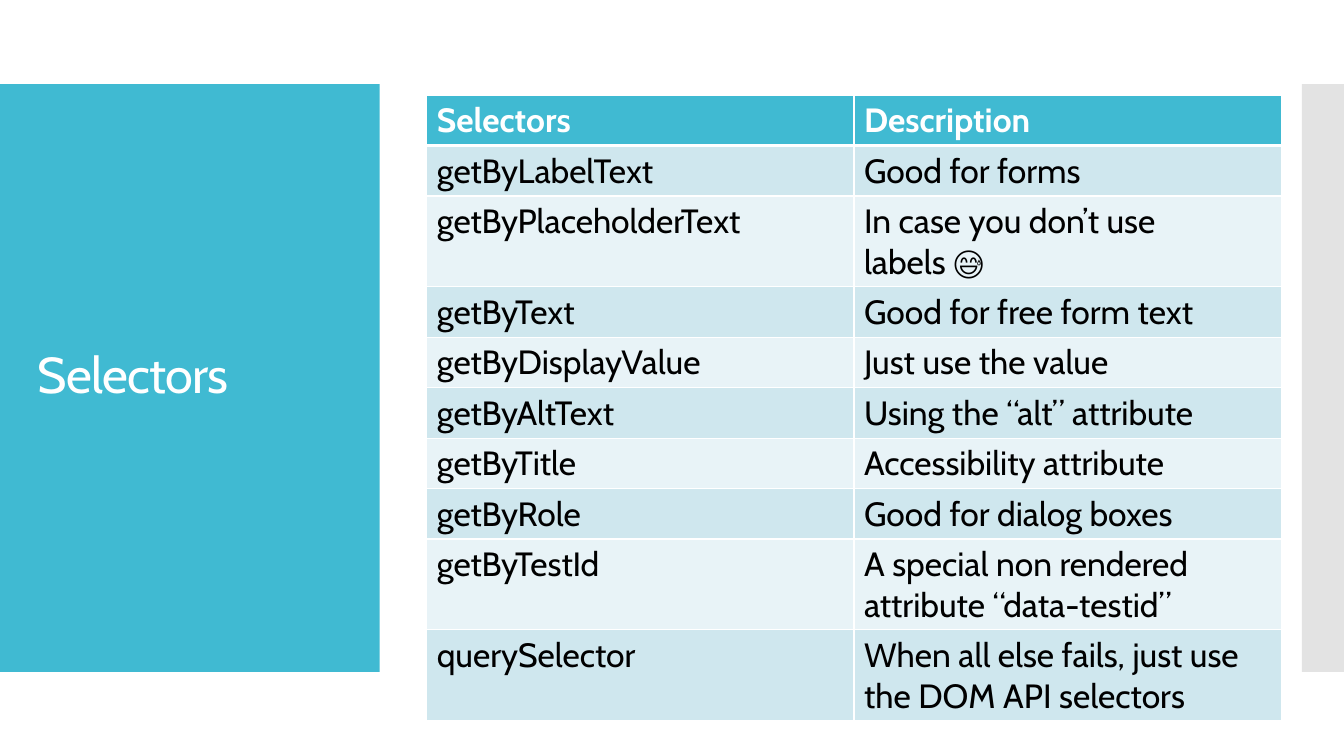
from dataclasses import dataclass

from lxml.etree import SubElement
from pptx import Presentation
from pptx.dml.color import RGBColor
from pptx.enum.shapes import MSO_SHAPE
from pptx.enum.text import MSO_ANCHOR
from pptx.oxml.ns import qn
from pptx.slide import Slide
from pptx.table import _Cell
from pptx.util import Pt

FONT = "Cabin"
COLORS = {
    "accent": "40BAD2",
    "side": "C8C8C8",
    "odd": "CFE7EE",
    "even": "E8F3F7",
    "white": "FFFFFF",
    "text": "000000",
}


@dataclass
class Panel:
    left: float
    width: float
    color: str
    opacity: int = 100


@dataclass
class Selector:
    name: str
    description: str


PANELS = [
    Panel(0, 271.2, "accent"),
    Panel(930, 30, "side", 50),
]
ROWS = [
    Selector("Selectors", "Description"),
    Selector("getByLabelText", "Good for forms"),
    Selector("getByPlaceholderText", "In case you don’t use labels 😅"),
    Selector("getByText", "Good for free form text"),
    Selector("getByDisplayValue", "Just use the value"),
    Selector("getByAltText", "Using the “alt” attribute"),
    Selector("getByTitle", "Accessibility attribute"),
    Selector("getByRole", "Good for dialog boxes"),
    Selector("getByTestId", "A special non rendered attribute “data-testid”"),
    Selector("querySelector", "When all else fails, just use the DOM API selectors"),
]


def rgb(name: str) -> RGBColor:
    return RGBColor.from_string(COLORS[name])


def add_panel(s: Slide, panel: Panel) -> None:
    sp = s.shapes.add_shape(
        MSO_SHAPE.RECTANGLE, Pt(panel.left), Pt(60), Pt(panel.width), Pt(420)
    )
    sp.shadow.inherit = False
    sp.line.fill.background()
    sp.fill.solid()
    sp.fill.fore_color.rgb = rgb(panel.color)
    if panel.opacity < 100:
        color = sp.fill._xPr.find(qn("a:solidFill"))[0]
        SubElement(color, qn("a:alpha"), val=str(panel.opacity * 1000))


def add_title(s: Slide, text: str) -> None:
    tf = s.shapes.add_textbox(Pt(20), Pt(88.5), Pt(232), Pt(362.5)).text_frame
    tf.word_wrap = True
    tf.vertical_anchor = MSO_ANCHOR.MIDDLE
    p = tf.paragraphs[0]
    p.line_spacing = 0.9
    r = p.add_run()
    r.text = text
    r.font.name = FONT
    r.font.size = Pt(36)
    r.font.color.rgb = rgb("white")
    r.font._element.set("spc", "-60")


def add_border(cell: _Cell, side: str, width: float) -> None:
    ln = SubElement(cell._tc.get_or_add_tcPr(), qn(f"a:ln{side}"), w=str(Pt(width)))
    fill = SubElement(ln, qn("a:solidFill"))
    SubElement(fill, qn("a:srgbClr"), val=COLORS["white"])


def fill_cell(cell: _Cell, text: str, row: int) -> None:
    header = row == 0
    widths = {"L": 1, "R": 1, "T": 3 if row == 1 else 1, "B": 3 if header else 1}
    for side, width in widths.items():
        add_border(cell, side, width)
    cell.fill.solid()
    cell.fill.fore_color.rgb = rgb("accent" if header else "odd" if row % 2 else "even")
    cell.text = text
    p = cell.text_frame.paragraphs[0]
    p.font.name = FONT
    p.font.size = Pt(24)
    p.font.bold = header
    p.font.color.rgb = rgb("white" if header else "text")


def add_selector_table(s: Slide, rows: list[Selector]) -> None:
    table = s.shapes.add_table(
        len(rows), 2, Pt(304.8), Pt(68), Pt(610.4), Pt(29.2 * len(rows))
    ).table
    for i, row in enumerate(rows):
        for j, text in enumerate((row.name, row.description)):
            fill_cell(table.cell(i, j), text, i)


def main() -> None:
    prs = Presentation()
    prs.slide_width, prs.slide_height = Pt(960), Pt(540)
    s = prs.slides.add_slide(prs.slide_layouts[6])
    for panel in PANELS:
        add_panel(s, panel)
    add_title(s, "Selectors")
    add_selector_table(s, ROWS)
    prs.save("out.pptx")


if __name__ == "__main__":
    main()
